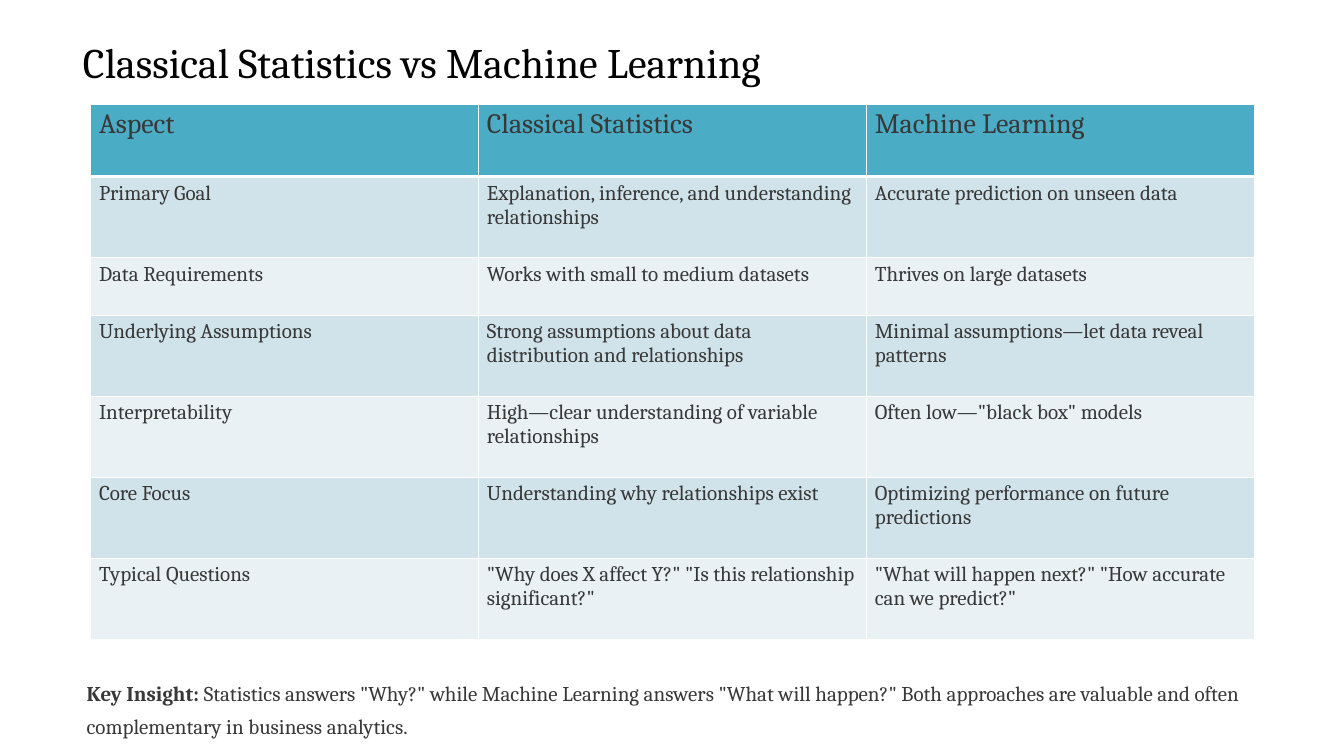
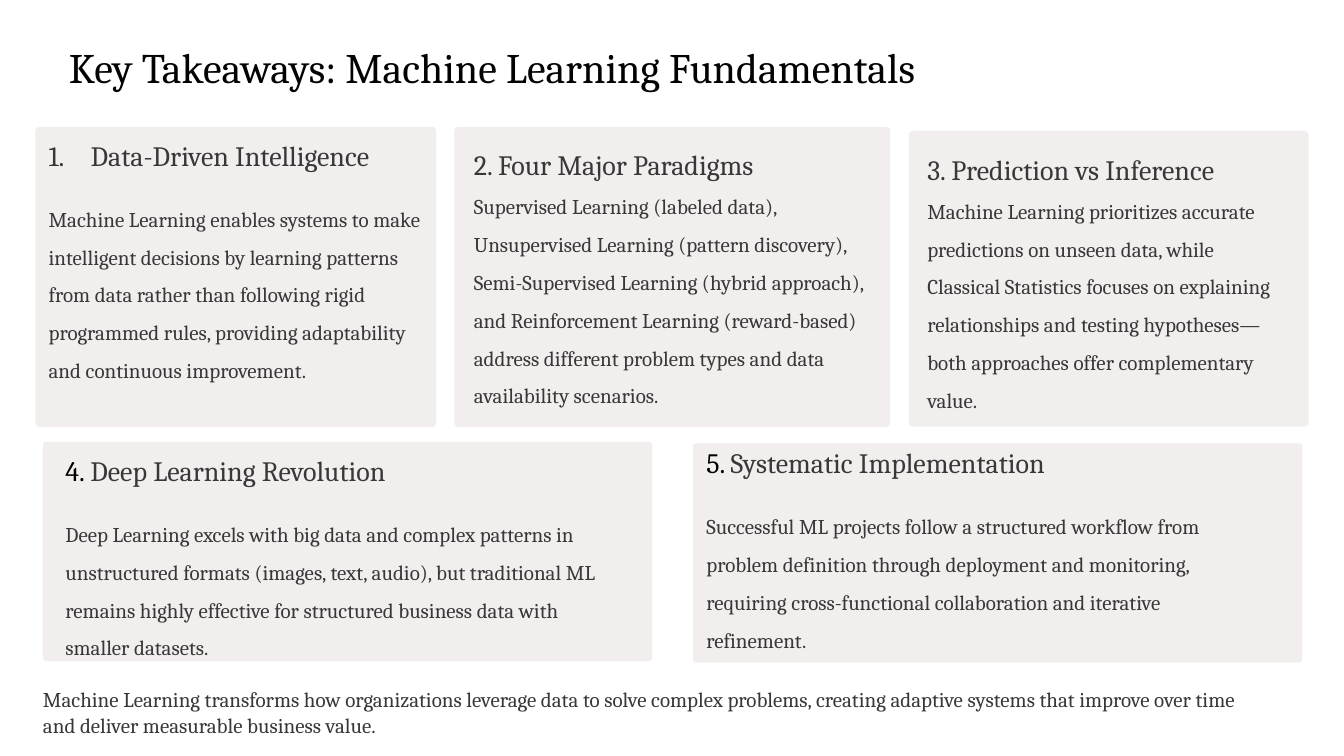
from dataclasses import dataclass
from typing import NamedTuple

from lxml.etree import SubElement
from pptx import Presentation
from pptx.dml.color import RGBColor
from pptx.enum.shapes import MSO_SHAPE
from pptx.oxml.ns import qn
from pptx.slide import Slide
from pptx.table import _Cell as Cell
from pptx.text.text import TextFrame, _Paragraph as Paragraph
from pptx.util import Cm, Length, Pt


@dataclass(frozen=True)
class Theme:
    font: str = "Cambria"
    title_color: str = "020202"
    text_color: str = "383838"
    number_color: str = "000000"
    panel_color: str = "F2EEEE"
    header_color: str = "4BACC6"
    band_colors: tuple[str, str] = ("D0E3EA", "E9F1F5")
    border_color: str = "FFFFFF"
    title_size: Length = Pt(36)
    heading_size: Length = Pt(24)
    body_size: Length = Pt(18)
    tight_spacing: Length = Pt(19)
    open_spacing: float = 1.5
    thin_border: Length = Pt(1)
    thick_border: Length = Pt(3)


class Box(NamedTuple):
    left: float
    top: float
    width: float
    height: float

    def lengths(self) -> tuple[Length, ...]:
        return tuple(Cm(value) for value in self)


@dataclass(frozen=True)
class Card:
    panel: Box
    text: Box
    number: str
    heading: str
    body: str
    tight_heading: bool = True
    auto_number: bool = False


THEME = Theme()
COLUMN_WIDTH = 11.73
ROW_HEIGHTS = (2.2, 2.45, 1.73, 2.45, 2.45, 2.45, 2.45)
COMPARISON = (
    ("Aspect", "Classical Statistics", "Machine Learning"),
    ("Primary Goal", "Explanation, inference, and understanding relationships",
     "Accurate prediction on unseen data"),
    ("Data Requirements", "Works with small to medium datasets",
     "Thrives on large datasets"),
    ("Underlying Assumptions",
     "Strong assumptions about data distribution and relationships",
     "Minimal assumptions—let data reveal patterns"),
    ("Interpretability", "High—clear understanding of variable relationships",
     'Often low—"black box" models'),
    ("Core Focus", "Understanding why relationships exist",
     "Optimizing performance on future predictions"),
    ("Typical Questions",
     '"Why does X affect Y?" "Is this relationship significant?"',
     '"What will happen next?" "How accurate can we predict?"'),
)
CARDS = (
    Card(Box(1.07, 3.84, 12.12, 9.07), Box(1.47, 4.52, 11.66, 6.88),
         "1.", "Data-Driven Intelligence",
         "Machine Learning enables systems to make intelligent decisions by "
         "learning patterns from data rather than following rigid programmed "
         "rules, providing adaptability and continuous improvement.",
         auto_number=True),
    Card(Box(13.74, 3.84, 13.18, 9.07), Box(14.33, 3.96, 12.6, 13.51),
         "2.", "Four Major Paradigms",
         "Supervised Learning (labeled data), Unsupervised Learning (pattern "
         "discovery), Semi-Supervised Learning (hybrid approach), and "
         "Reinforcement Learning (reward-based) address different problem "
         "types and data availability scenarios.",
         tight_heading=False),
    Card(Box(27.48, 3.96, 12.09, 8.94), Box(28.04, 4.09, 10.62, 6.43),
         "3.", "Prediction vs Inference",
         "Machine Learning prioritizes accurate predictions on unseen data, "
         "while Classical Statistics focuses on explaining relationships and "
         "testing hypotheses—both approaches offer complementary value.",
         tight_heading=False),
    Card(Box(1.3, 13.36, 18.42, 6.63), Box(1.98, 14.05, 16.08, 6.88),
         "4.", "Deep Learning Revolution",
         "Deep Learning excels with big data and complex patterns in "
         "unstructured formats (images, text, audio), but traditional ML "
         "remains highly effective for structured business data with smaller "
         "datasets."),
    Card(Box(20.96, 13.41, 18.42, 6.63), Box(21.36, 13.82, 16.08, 6.88),
         "5.", "Systematic Implementation",
         "Successful ML projects follow a structured workflow from problem "
         "definition through deployment and monitoring, requiring "
         "cross-functional collaboration and iterative refinement."),
)


def style_paragraph(paragraph: Paragraph, size: Length, color: str,
                    spacing: Length | float | None = None) -> None:
    paragraph.line_spacing = spacing
    paragraph.font.name = THEME.font
    paragraph.font.size = size
    paragraph.font.color.rgb = RGBColor.from_string(color)


def add_text_frame(slide: Slide, box: Box) -> TextFrame:
    frame = slide.shapes.add_textbox(*box.lengths()).text_frame
    frame.word_wrap = True
    frame.margin_left = frame.margin_top = Cm(0)
    frame.margin_right = frame.margin_bottom = Cm(0)
    return frame


def add_title(slide: Slide, box: Box, text: str, spacing: Length) -> None:
    paragraph = add_text_frame(slide, box).paragraphs[0]
    paragraph.text = text
    style_paragraph(paragraph, THEME.title_size, THEME.title_color, spacing)


def add_closing_note(slide: Slide, box: Box, text: str, spacing: Length,
                     lead: str = "") -> None:
    paragraph = add_text_frame(slide, box).paragraphs[0]
    if lead:
        run = paragraph.add_run()
        run.text = lead
        run.font.bold = True
    paragraph.add_run().text = text
    style_paragraph(paragraph, THEME.body_size, THEME.text_color, spacing)


def set_borders(cell: Cell, top: Length, bottom: Length) -> None:
    properties = cell._tc.get_or_add_tcPr()
    widths = {"a:lnL": THEME.thin_border, "a:lnR": THEME.thin_border,
              "a:lnT": top, "a:lnB": bottom}
    for tag, width in widths.items():
        line = SubElement(properties, qn(tag), w=str(int(width)))
        fill = SubElement(line, qn("a:solidFill"))
        SubElement(fill, qn("a:srgbClr"), val=THEME.border_color)


def add_comparison_table(slide: Slide, left: float, top: float) -> None:
    columns = len(COMPARISON[0])
    box = Box(left, top, COLUMN_WIDTH * columns, sum(ROW_HEIGHTS))
    table = slide.shapes.add_table(len(COMPARISON), columns, *box.lengths()).table
    table.horz_banding = False
    table.first_row = False
    for column in table.columns:
        column.width = Cm(COLUMN_WIDTH)
    for row_index, texts in enumerate(COMPARISON):
        table.rows[row_index].height = Cm(ROW_HEIGHTS[row_index])
        is_header = row_index == 0
        color = THEME.header_color if is_header else THEME.band_colors[(row_index - 1) % 2]
        size = THEME.heading_size if is_header else THEME.body_size
        for column_index, text in enumerate(texts):
            cell = table.cell(row_index, column_index)
            set_borders(cell,
                        THEME.thick_border if row_index == 1 else THEME.thin_border,
                        THEME.thick_border if is_header else THEME.thin_border)
            cell.fill.solid()
            cell.fill.fore_color.rgb = RGBColor.from_string(color)
            cell.text = text
            style_paragraph(cell.text_frame.paragraphs[0], size, THEME.text_color)


def add_panel(slide: Slide, box: Box) -> None:
    panel = slide.shapes.add_shape(MSO_SHAPE.ROUNDED_RECTANGLE, *box.lengths())
    panel.adjustments[0] = 0.014
    panel.shadow.inherit = False
    panel.fill.solid()
    panel.fill.fore_color.rgb = RGBColor.from_string(THEME.panel_color)
    panel.line.fill.background()


def add_card(slide: Slide, card: Card) -> None:
    add_panel(slide, card.panel)
    frame = add_text_frame(slide, card.text)
    heading = frame.paragraphs[0]
    if card.auto_number:
        properties = heading._p.get_or_add_pPr()
        properties.set("marL", str(int(Cm(1.27))))
        properties.set("indent", str(int(Cm(-1.27))))
        SubElement(properties, qn("a:buFont"), typeface="+mj-lt")
        SubElement(properties, qn("a:buAutoNum"), type="arabicPeriod")
    else:
        number = heading.add_run()
        number.text = f"{card.number} "
        if card.tight_heading:
            number.font.color.rgb = RGBColor.from_string(THEME.number_color)
    heading.add_run().text = card.heading
    spacing = THEME.tight_spacing if card.tight_heading else THEME.open_spacing
    style_paragraph(heading, THEME.heading_size, THEME.text_color, spacing)
    if card.tight_heading:
        heading.space_after = THEME.tight_spacing
    body = frame.add_paragraph()
    body.text = card.body
    style_paragraph(body, THEME.body_size, THEME.text_color, THEME.open_spacing)


def build_comparison(slide: Slide) -> None:
    add_title(slide, Box(2.51, 1.02, 37.92, 1.55),
              "Classical Statistics vs Machine Learning", Pt(46))
    add_closing_note(
        slide, Box(2.62, 20.35, 35.18, 1.93),
        ' Statistics answers "Why?" while Machine Learning answers "What will '
        'happen?" Both approaches are valuable and often complementary in '
        "business analytics.", Pt(28), lead="Key Insight:")
    add_comparison_table(slide, 2.74, 3.15)


def build_takeaways(slide: Slide) -> None:
    add_title(slide, Box(2.08, 1.45, 37.92, 1.37),
              "Key Takeaways: Machine Learning Fundamentals", Pt(38))
    for card in CARDS:
        add_card(slide, card)
    add_closing_note(
        slide, Box(1.3, 20.7, 36.22, 1.65),
        "Machine Learning transforms how organizations leverage data to solve "
        "complex problems, creating adaptive systems that improve over time "
        "and deliver measurable business value.", Pt(23))


def main() -> None:
    presentation = Presentation()
    presentation.slide_width = Cm(40.64)
    presentation.slide_height = Cm(22.86)
    blank_layout = presentation.slide_layouts[6]
    for build in (build_comparison, build_takeaways):
        build(presentation.slides.add_slide(blank_layout))
    presentation.save("out.pptx")


if __name__ == "__main__":
    main()
